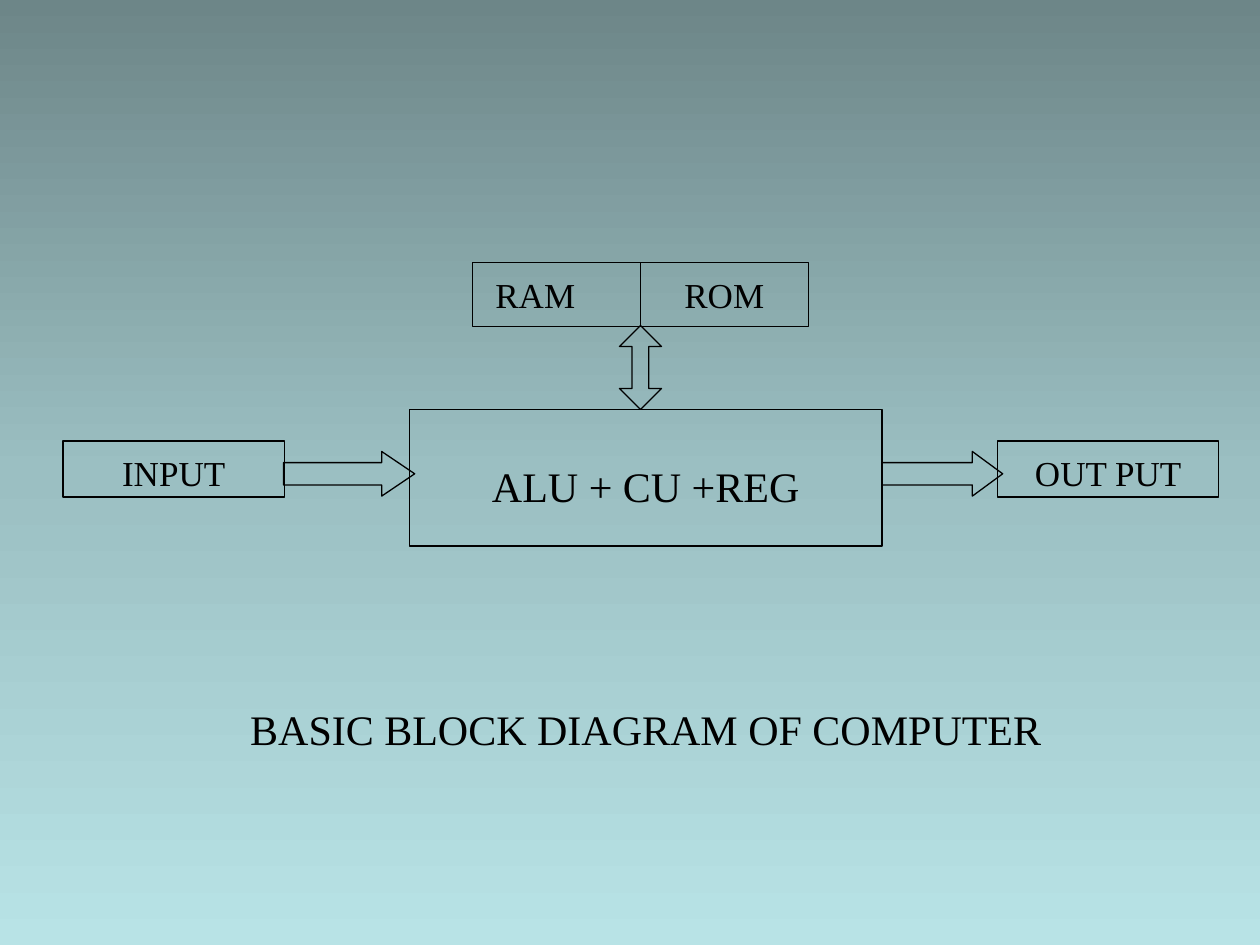
import copy
import pptx
import pptx.util
import pptx.dml.color
import pptx.enum.shapes
import pptx.enum.text
import pptx.oxml.ns

Pt = pptx.util.Pt
RGB = pptx.dml.color.RGBColor
Kind = pptx.enum.shapes.MSO_SHAPE
Align = pptx.enum.text.PP_ALIGN
INK = RGB(0, 0, 0)
DARK = RGB(0x6D, 0x86, 0x88)
MID = RGB(0x9B, 0xBF, 0xC2)
LIGHT = RGB(0xB8, 0xE3, 0xE6)


def write(item, words, size, align, top=6):
    frame = item.text_frame
    look = {"word_wrap": True, "margin_top": Pt(top), "margin_bottom": Pt(0),
            "margin_left": Pt(7.2), "margin_right": Pt(7.2),
            "auto_size": pptx.enum.text.MSO_AUTO_SIZE.NONE,
            "vertical_anchor": pptx.enum.text.MSO_ANCHOR.TOP}
    for key, value in look.items():
        setattr(frame, key, value)
    para = frame.paragraphs[0]
    para.text = words
    para.alignment = align
    for key, value in {"name": "Times New Roman", "size": Pt(size)}.items():
        setattr(para.font, key, value)
    para.font.color.rgb = INK


def draw(kind, place):
    item = slide.shapes.add_shape(kind, *map(Pt, place))
    item.shadow.inherit = False
    item.fill.background()
    item.line.color.rgb = INK
    item.line.width = Pt(0.75)
    return item


deck = pptx.Presentation()
deck.slide_width, deck.slide_height = Pt(720), Pt(540)
slide = deck.slides.add_slide(deck.slide_layouts[5])

fill = slide.background.fill
fill.gradient()
fill.gradient_angle = 270
stops = slide.element.find(".//" + pptx.oxml.ns.qn("a:gsLst"))
stops.insert(1, copy.deepcopy(stops[0]))
for stop, color, spot in zip(fill.gradient_stops, (DARK, MID, LIGHT), (0, 0.5, 1)):
    stop.color.rgb = color
    stop.position = spot

for words, left, width in (("RAM", 276, 75), ("ROM", 384, 69)):
    label = slide.shapes.add_textbox(Pt(left), Pt(150), Pt(width), Pt(31))
    write(label, words, 20, Align.LEFT)

blocks = (
    ("ALU + CU +REG", 24, 29, (234, 234, 270, 78)),
    ("INPUT", 20, 6, (36, 252, 126.5, 32)),
    ("OUT PUT", 20, 6, (570, 252, 126.5, 32)),
)
for words, size, top, place in blocks:
    write(draw(Kind.RECTANGLE, place), words, size, Align.CENTER, top)

arrows = (
    (Kind.RIGHT_ARROW, (504, 258, 69, 25.5), 0.68),
    (Kind.RIGHT_ARROW, (162, 258, 75, 25.5), 0.74),
    (Kind.UP_DOWN_ARROW, (354, 186, 24, 48), 0.4),
)
for kind, place, head in arrows:
    arrow = draw(kind, place)
    arrow.adjustments[0] = 0.5
    arrow.adjustments[1] = head

store = draw(Kind.RECTANGLE, (270, 150, 192, 36.5))
split = slide.shapes.add_connector(
    pptx.enum.shapes.MSO_CONNECTOR.STRAIGHT, Pt(366), Pt(150), Pt(366), Pt(186.5))
split.begin_connect(store, 0)
split.end_connect(store, 2)
split.line.color.rgb = INK
split.line.width = Pt(0.75)
props = split.element.spPr
props.append(props.makeelement(pptx.oxml.ns.qn("a:effectLst"), {}))

title = slide.shapes.title
spot = {"left": 42, "top": 396, "width": 654, "height": 36}
for key, value in spot.items():
    setattr(title, key, Pt(value))
write(title, "BASIC BLOCK DIAGRAM OF COMPUTER", 24, Align.CENTER)

deck.save("out.pptx")
